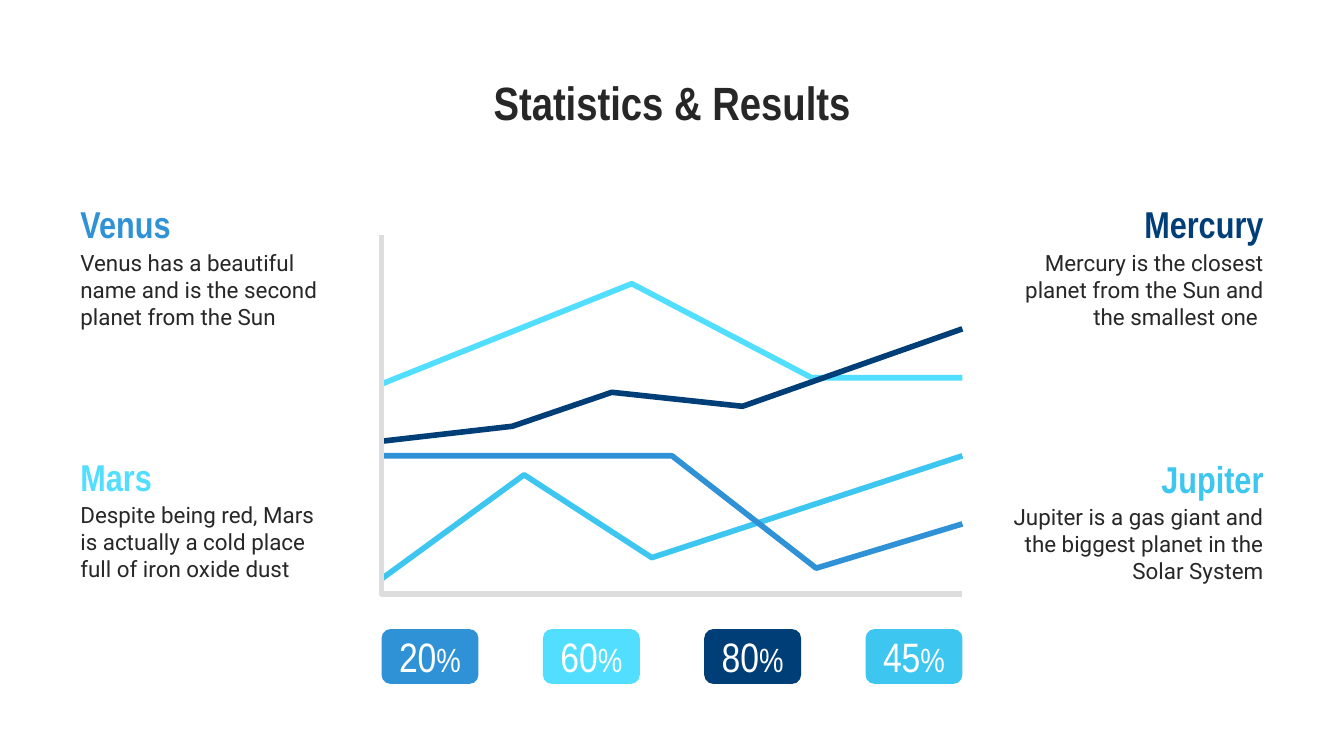
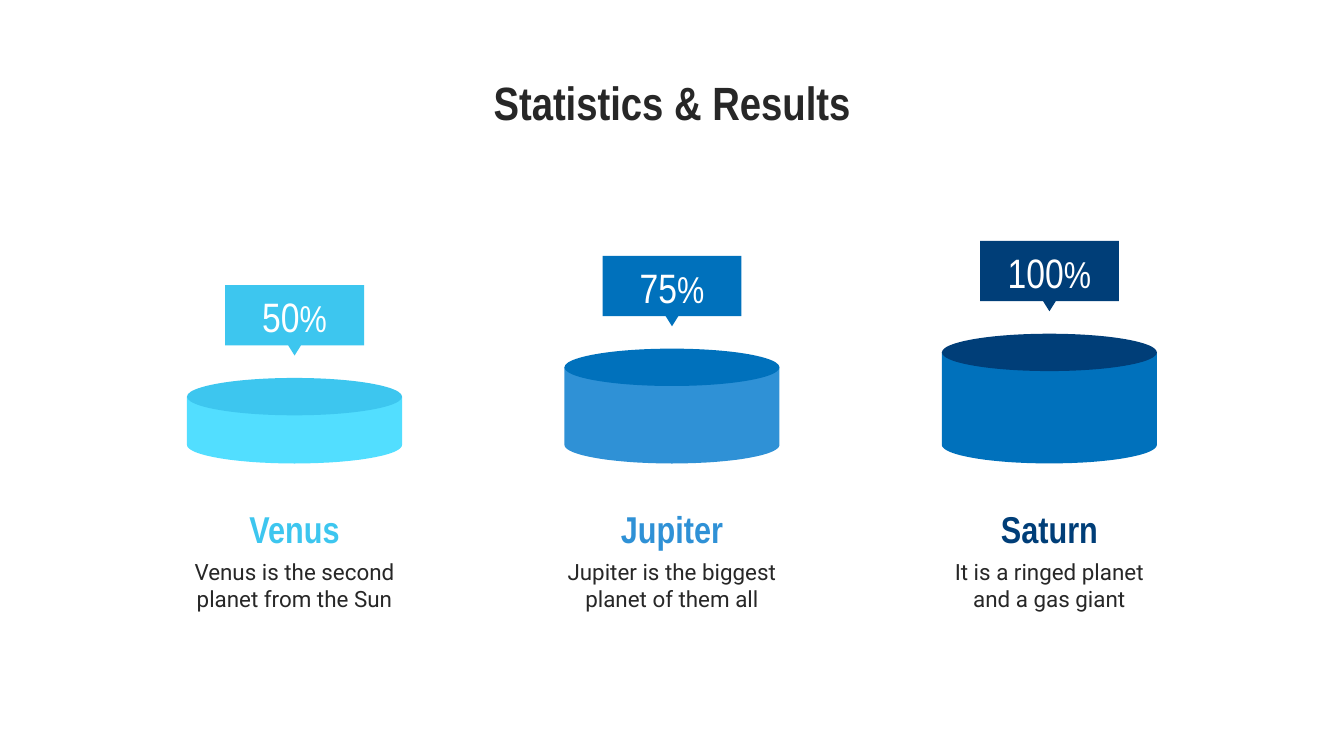
"""Build two slides of planet statistics: a line graph and three cylinders."""

from dataclasses import dataclass
from math import cos, pi, sin

from pptx import Presentation
from pptx.dml.color import RGBColor
from pptx.enum.shapes import MSO_SHAPE
from pptx.enum.text import MSO_ANCHOR, PP_ALIGN
from pptx.util import Pt

LEFT, CENTER, RIGHT = PP_ALIGN.LEFT, PP_ALIGN.CENTER, PP_ALIGN.RIGHT
TOP, MIDDLE = MSO_ANCHOR.TOP, MSO_ANCHOR.MIDDLE
OVAL, ROUNDED = MSO_SHAPE.OVAL, MSO_SHAPE.ROUNDED_RECTANGLE


@dataclass(frozen=True)
class Theme:
    ink: str = "272727"
    white: str = "FFFFFF"
    axis: str = "DDDDDD"
    navy: str = "003E78"
    royal: str = "0071BC"
    blue: str = "2F91D6"
    sky: str = "3DC6EF"
    aqua: str = "52DEFF"
    display: str = "Arial Narrow"
    body: str = "Roboto"
    title_size: int = 25
    heading_size: int = 20
    body_size: int = 12
    figure_size: int = 22
    badge_unit_size: int = 18
    flag_unit_size: int = 20
    stroke: int = 3


theme = Theme()


def add_text(page, area, text, size=theme.body_size, font=theme.body, color=theme.ink,
             bold=False, align=LEFT, anchor=TOP, unit="", unit_size=None,
             spacing=None, after=None, box=None):
    if box is None:
        box = page.shapes.add_textbox(*map(Pt, area))
    frame = box.text_frame
    frame.word_wrap = True
    frame.vertical_anchor = anchor
    frame.margin_left = frame.margin_right = Pt(7.2)
    frame.margin_top = frame.margin_bottom = Pt(7.2)
    para = frame.paragraphs[0]
    para.alignment = align
    if spacing:
        para.line_spacing = spacing
    if after:
        para.space_after = Pt(after)
    for part, part_size in ((text, size), (unit, unit_size)):
        if part:
            span = para.add_run()
            span.text = part
            span.font.size = Pt(part_size)
            span.font.name = font
            span.font.bold = bold
            span.font.color.rgb = RGBColor.from_string(color)


def draw_path(shapes, points, color, closed=True):
    corners = [(Pt(x), Pt(y)) for x, y in points]
    builder = shapes.build_freeform(*corners[0])
    builder.add_line_segments(corners[1:], close=closed)
    outline = builder.convert_to_shape()
    outline.shadow.inherit = False
    if closed:
        outline.fill.solid()
        outline.fill.fore_color.rgb = RGBColor.from_string(color)
        outline.line.fill.background()
    else:
        outline.fill.background()
        outline.line.color.rgb = RGBColor.from_string(color)
        outline.line.width = Pt(theme.stroke)


deck = Presentation()
deck.slide_width, deck.slide_height = Pt(720), Pt(405)
pages = [deck.slides.add_slide(deck.slide_layouts[6]) for _ in range(2)]
for page in pages:
    page.background.fill.solid()
    page.background.fill.fore_color.rgb = RGBColor.from_string(theme.white)
    add_text(page, (36, 32.4, 648, 38.9), "Statistics & Results", size=theme.title_size,
             font=theme.display, bold=True, align=CENTER)
graph_page, cylinder_page = pages

graph_left, graph_right = 204.4, 515.6
graph_top, graph_bottom = 126, 318.2
graph_lines = [
    (theme.sky, 310.2, [(280.8, 254.4), (349.2, 298.8)], 244.2),
    (theme.blue, 244.2, [(360, 244.2), (437.3, 304.4)], 280.7),
    (theme.aqua, 205.8, [(338.5, 152), (434.9, 202.4)], 202.4),
    (theme.navy, 236.4, [(274.5, 228.4), (327.8, 210.2), (397.8, 217.7)], 176.2),
    (theme.axis, graph_top, [(graph_left, graph_bottom)], graph_bottom),
]
for color, start, bends, end in graph_lines:
    points = [(graph_left, start), *bends, (graph_right, end)]
    draw_path(graph_page.shapes, points, color, closed=False)

planets = [
    ("Mercury", "Mercury is the closest planet from the Sun and the smallest one ",
     theme.navy, RIGHT, 100.8),
    ("Jupiter", "Jupiter is a gas giant and the biggest planet in the Solar System",
     theme.sky, RIGHT, 237.1),
    ("Mars", "Despite being red, Mars is actually a cold place full of iron oxide dust",
     theme.aqua, LEFT, 236),
    ("Venus", "Venus has a beautiful name and is the second planet from the Sun",
     theme.blue, LEFT, 100.8),
]
for name, fact, color, align, top in planets:
    left = 535.7 if align == RIGHT else 36
    add_text(graph_page, (left, top, 148.3, 37.4), name, size=theme.heading_size,
             font=theme.display, color=color, bold=True, align=align)
    add_text(graph_page, (left, top + 25.4, 148.3, 56.9), fact, align=align)

badge_width = 51.9
badge_step = (graph_right - graph_left - badge_width) / 3
badges = [("20", theme.blue), ("60", theme.aqua), ("80", theme.navy), ("45", theme.sky)]
for index, (figure, color) in enumerate(badges):
    area = (graph_left + index * badge_step, 337, badge_width, 29.4)
    badge = graph_page.shapes.add_shape(ROUNDED, *map(Pt, area))
    badge.shadow.inherit = False
    badge.fill.solid()
    badge.fill.fore_color.rgb = RGBColor.from_string(color)
    badge.line.fill.background()
    add_text(graph_page, area, figure, size=theme.figure_size, font=theme.display,
             color=theme.white, align=CENTER, anchor=MIDDLE, unit="%",
             unit_size=theme.badge_unit_size, box=badge)

radius, rim, base = 57.6, 10, 248.3
arc_steps = 48
cylinders = [
    ("Venus", "Venus is the second planet from the Sun", "50", 202.5,
     theme.aqua, theme.sky, theme.sky),
    ("Jupiter", "Jupiter is the biggest planet of them all", "75", 186.8,
     theme.blue, theme.royal, theme.blue),
    ("Saturn", "It is a ringed planet and a gas giant", "100", 178.8,
     theme.royal, theme.navy, theme.navy),
]
for index, (name, fact, figure, top, side, lid, heading) in enumerate(cylinders):
    center = 360 + (index - 1) * 202.2
    group = cylinder_page.shapes.add_group_shape()
    angles = [pi * (1 - step / arc_steps) for step in range(arc_steps + 1)]
    wall = [(center + radius * cos(angle), base - rim + rim * sin(angle)) for angle in angles]
    wall = [(center - radius, top + rim), *wall, (center + radius, top + rim)]
    draw_path(group.shapes, wall, side)
    cover = group.shapes.add_shape(OVAL, Pt(center - radius), Pt(top), Pt(2 * radius), Pt(2 * rim))
    cover.shadow.inherit = False
    cover.fill.solid()
    cover.fill.fore_color.rgb = RGBColor.from_string(lid)
    cover.line.fill.background()

    flag_top = top - 49.7
    flag_bottom = flag_top + 32.3
    flag = [(-37.2, flag_top), (-37.2, flag_bottom), (-3.4, flag_bottom),
            (0, flag_bottom + 5.4), (3.4, flag_bottom), (37.2, flag_bottom), (37.2, flag_top)]
    draw_path(cylinder_page.shapes, [(center + x, y) for x, y in flag], lid)
    add_text(cylinder_page, (center - 34.5, flag_top + 4.2, 69, 24.5), figure,
             size=theme.figure_size, font=theme.display, color=theme.white, align=CENTER,
             anchor=MIDDLE, unit="%", unit_size=theme.flag_unit_size)
    add_text(cylinder_page, (center - 69, 291.6, 138, 51), fact, align=CENTER)
    add_text(cylinder_page, (center - 59, 260.6, 118, 37.4), name, size=theme.heading_size,
             font=theme.display, color=heading, bold=True, align=CENTER, spacing=1.15, after=16)

deck.save("out.pptx")
